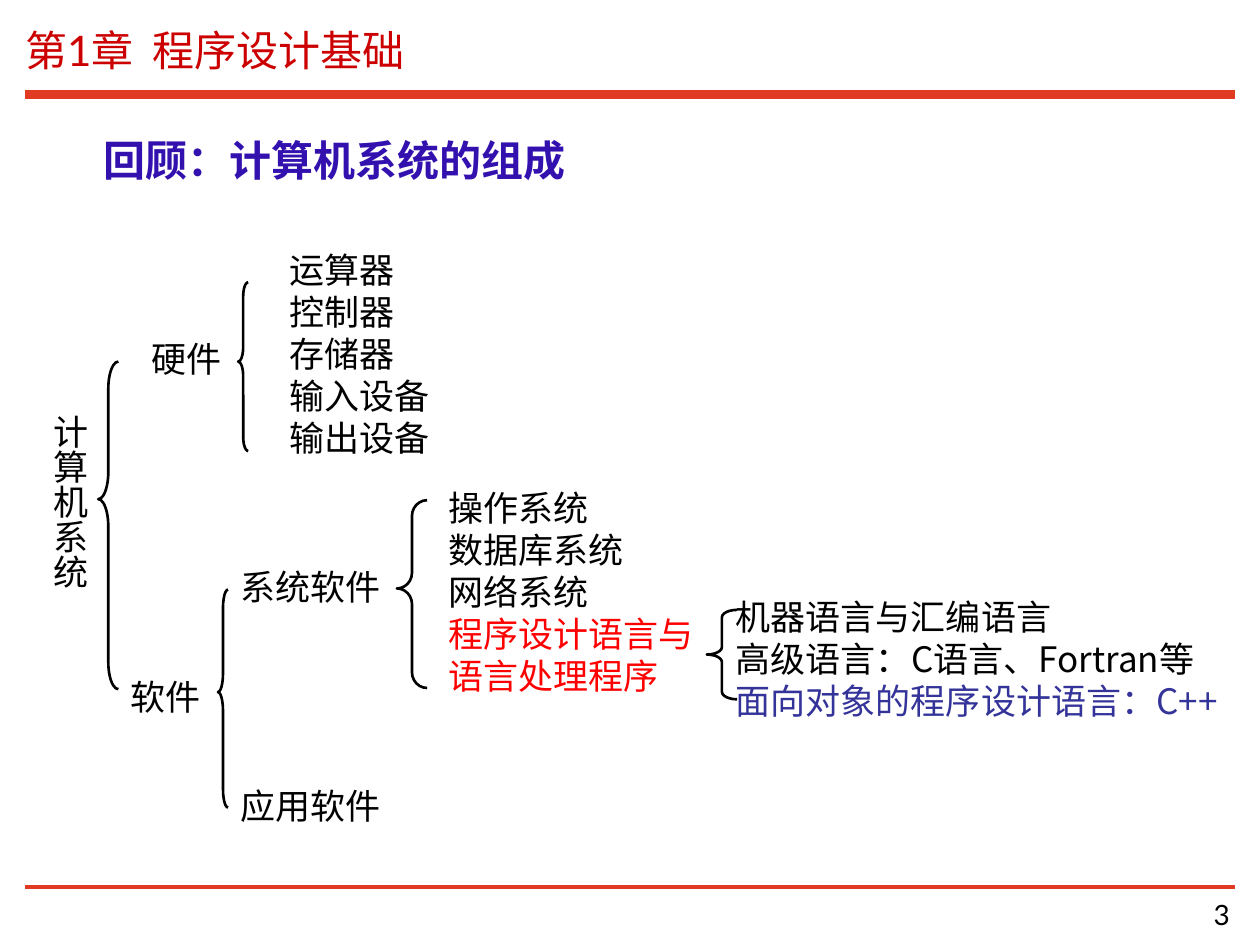
from dataclasses import dataclass

from lxml import etree
from pptx import Presentation
from pptx.dml.color import RGBColor
from pptx.enum.shapes import MSO_CONNECTOR, MSO_SHAPE
from pptx.enum.text import MSO_ANCHOR, PP_ALIGN
from pptx.oxml.ns import qn
from pptx.util import Inches, Pt

LEFT, RIGHT = PP_ALIGN.LEFT, PP_ALIGN.RIGHT
TOP, MIDDLE = MSO_ANCHOR.TOP, MSO_ANCHOR.MIDDLE
BRACE, STRAIGHT = MSO_SHAPE.LEFT_BRACE, MSO_CONNECTOR.STRAIGHT
TITLE_ONLY = 5


@dataclass(frozen=True)
class Theme:
    latin: str = "Lato"
    cjk: str = "Noto Sans CJK SC"
    title: str = "CC0000"
    heading: str = "3311AF"
    rule: str = "E13A23"
    ink: str = "000000"
    alert: str = "FF0000"
    accent: str = "333399"
    title_size: int = 24
    body_size: int = 20
    number_size: int = 16


THEME = Theme()

# Label groups: left, top, width, height, lines as (text, colour)
INK = THEME.ink
LABELS = [
    (0.86, 0.71, 0.75, 0.44, [("硬件", INK)]),
    (0.70, 3.39, 0.75, 0.44, [("软件", INK)]),
    (1.96, 0, 1.31, 1.77, [(part, INK) for part in
                           ("运算器", "控制器", "存储器", "输入设备", "输出设备")]),
    (1.57, 2.52, 1.31, 0.44, [("系统软件", INK)]),
    (1.57, 4.26, 1.31, 0.44, [("应用软件", INK)]),
    (3.22, 1.89, 2.15, 1.77, [("操作系统", INK), ("数据库系统", INK), ("网络系统", INK),
                              ("程序设计语言与", THEME.alert),
                              ("语言处理程序", THEME.alert)]),
    (5.50, 2.76, 4.31, 1.10, [("机器语言与汇编语言", INK),
                              ("高级语言：C语言、Fortran等", INK),
                              ("面向对象的程序设计语言：C++", THEME.accent)]),
]
# Braces: left, top, width, height, position of the point along the height
BRACES = [
    (0.54, 0.95, 0.16, 2.60, 0.42),
    (1.65, 0.32, 0.08, 1.34, 0.47),
    (1.49, 2.76, 0.08, 1.73, 0.47),
    (2.91, 2.05, 0.24, 1.49, 0.47),
    (5.37, 2.92, 0.24, 0.71, 0.50),
]


def write(shape, lines, size, font, margins, bold=False, align=LEFT, anchor=TOP):
    """Fill a shape with (text, colour) lines; margins run left, top, right, bottom."""
    tf = shape.text_frame
    tf.word_wrap = True
    tf.vertical_anchor = anchor
    (tf.margin_left, tf.margin_top,
     tf.margin_right, tf.margin_bottom) = map(Inches, margins)
    for i, (text, colour) in enumerate(lines):
        p = tf.add_paragraph() if i else tf.paragraphs[0]
        p.text = text
        p.alignment = align
        p.line_spacing = Pt(size * 1.2)
        p.font.size = Pt(size)
        p.font.bold = bold
        p.font.color.rgb = RGBColor.from_string(colour)
        p.font.name = font
        props = p._p.pPr.find(qn("a:defRPr"))
        etree.SubElement(props, qn("a:ea")).set("typeface", THEME.cjk)


def add_text(s, box, lines, size, font, margins=(0.1, 0.05, 0, 0), **options):
    tb = s.shapes.add_textbox(*map(Inches, box))
    write(tb, lines, size, font, margins, **options)
    return tb


def add_rule(s, left, top, width, weight):
    line = s.shapes.add_connector(STRAIGHT, Inches(left), Inches(top),
                                  Inches(left + width), Inches(top))
    line.line.color.rgb = RGBColor.from_string(THEME.rule)
    line.line.width = Pt(weight)
    etree.SubElement(line._element.spPr, qn("a:effectLst"))


def add_brace(s, left, top, width, height, point):
    brace = s.shapes.add_shape(BRACE, *map(Inches, (left, top, width, height)))
    brace.adjustments[0] = height / 12 / min(width, height)
    brace.adjustments[1] = point
    brace.shadow.inherit = False
    brace.fill.background()
    brace.line.color.rgb = RGBColor.from_string(THEME.ink)
    brace.line.width = Pt(1.5)


def add_header(s, left, top, width, height):
    title = s.shapes.title
    title.left, title.top, title.width, title.height = map(
        Inches, (left, top, width, height))
    write(title, [("第1章  程序设计基础", THEME.title)], THEME.title_size,
          THEME.latin, (0, 0, 0, 0), anchor=MIDDLE)
    add_rule(s, left, top + 0.55, width, 5)


def add_footer(s, left, top, width, height):
    add_rule(s, left, top, width, 2)
    add_text(s, (left + width - 2.01, top + 0.08, 1.97, height - 0.08),
             [("3", THEME.ink)], THEME.number_size, THEME.latin,
             (0, 0, 0, 0), align=RIGHT)


def add_system_tree(s, left, top):
    root = add_text(s, (left, top + 1.27, 0.53, 1.49), [("计算机系统", THEME.ink)],
                    THEME.body_size, THEME.cjk, (0.1, 0.05, 0.05, 0))
    root.text_frame._txBody.bodyPr.set("vert", "eaVert")
    for x, y, width, height, lines in LABELS:
        add_text(s, (left + x, top + y, width, height), lines,
                 THEME.body_size, THEME.cjk)
    for x, y, width, height, point in BRACES:
        add_brace(s, left + x, top + y, width, height, point)


def main():
    prs = Presentation()
    prs.slide_width, prs.slide_height = Inches(10), Inches(7.5)
    s = prs.slides.add_slide(prs.slide_layouts[TITLE_ONLY])
    add_header(s, 0.2, 0.2, 9.6, 0.39)
    add_text(s, (0.72, 1.02, 3.86, 0.5), [("回顾：计算机系统的组成", THEME.heading)],
             THEME.title_size, THEME.latin, bold=True)
    add_system_tree(s, 0.24, 1.92)
    add_footer(s, 0.2, 7.04, 9.6, 0.39)
    prs.save("out.pptx")


if __name__ == "__main__":
    main()
